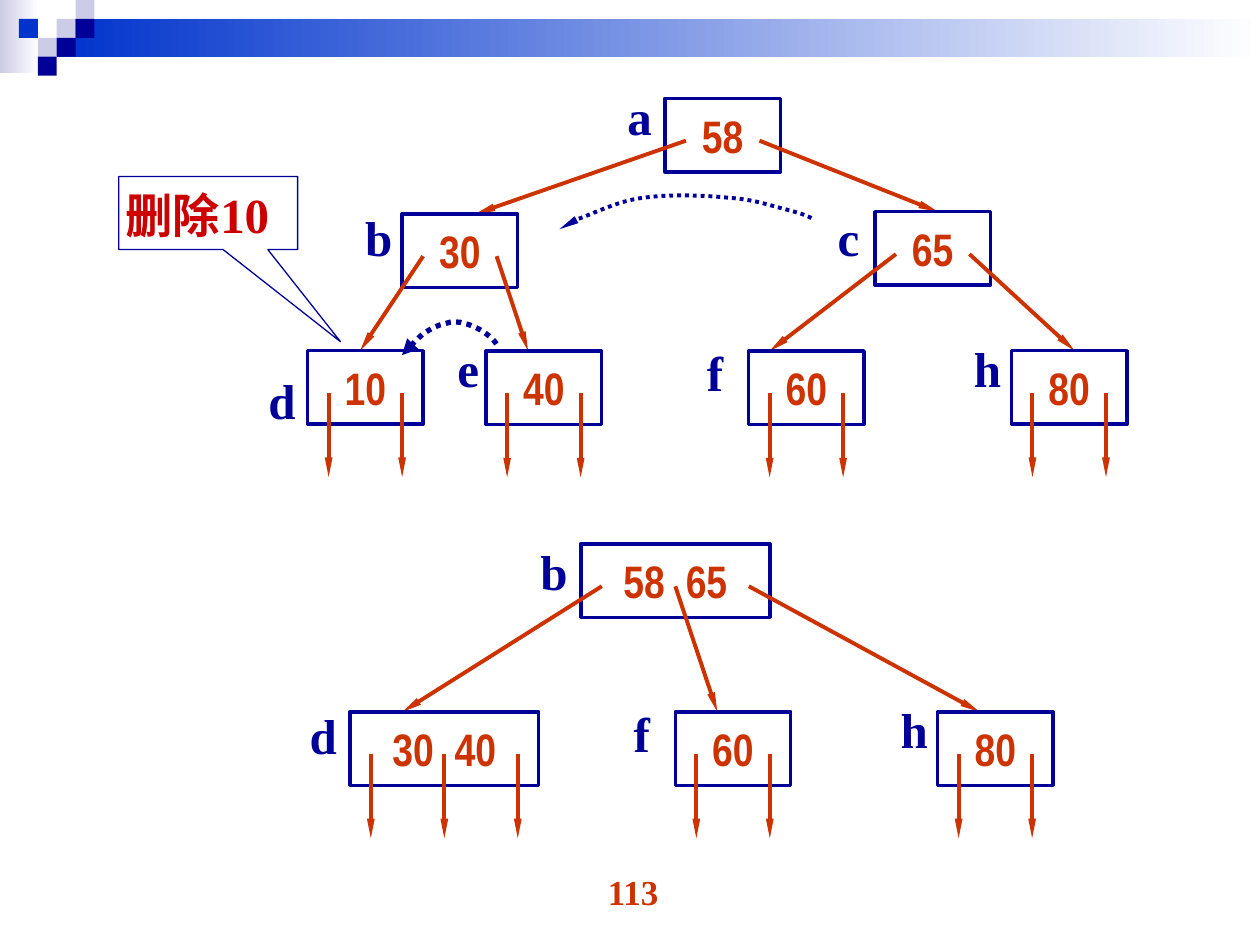
"""Build the slide that shows deleting 10 from a 2-3 tree."""
from dataclasses import dataclass

from pptx import Presentation
from pptx.dml.color import RGBColor
from pptx.enum.dml import MSO_LINE
from pptx.enum.shapes import MSO_CONNECTOR, MSO_SHAPE
from pptx.enum.text import MSO_ANCHOR, MSO_AUTO_SIZE, PP_ALIGN
from pptx.oxml.ns import qn
from pptx.util import Pt

RECTANGLE = MSO_SHAPE.RECTANGLE
CALLOUT = MSO_SHAPE.RECTANGULAR_CALLOUT
STRAIGHT = MSO_CONNECTOR.STRAIGHT
DOTTED = MSO_LINE.ROUND_DOT
MIDDLE = MSO_ANCHOR.MIDDLE
GROW = MSO_AUTO_SIZE.SHAPE_TO_FIT_TEXT
LEFT, CENTER = PP_ALIGN.LEFT, PP_ALIGN.CENTER


@dataclass(frozen=True)
class Theme:
    """Colours, fonts and type sizes of the slide."""
    navy: RGBColor = RGBColor.from_string("000099")
    blue: RGBColor = RGBColor.from_string("0033CC")
    lilac: RGBColor = RGBColor.from_string("CCCCE6")
    white: RGBColor = RGBColor.from_string("FFFFFF")
    orange: RGBColor = RGBColor.from_string("CC3300")
    red: RGBColor = RGBColor.from_string("CC0000")
    serif: str = "Times New Roman"
    narrow: str = "Arial Narrow"
    key_size: float = 26
    label_size: float = 28
    chinese_size: float = 27
    number_size: float = 20


@dataclass(frozen=True)
class Node:
    """A tree node; landing is where its parent's arrow meets the top edge."""
    name: str
    position: tuple
    keys: tuple
    label: tuple
    landing: float = 0
    children: tuple = ()


THEME = Theme()
NODE_HEIGHT, PORT_INSET, PORT_DROP, PORT_GAP, LEAF_ARROW = 42, 12, 24.2, 42, 48
SQUARE = 10.8
KEY_SPACING = "600"

HEADER_SQUARES = [
    (3, 1, THEME.lilac), (4, 0, THEME.lilac), (4, 1, THEME.navy),
    (2, 2, THEME.lilac), (1, 1, THEME.blue), (3, 2, THEME.navy),
    (2, 3, THEME.navy),
]

TREE_BEFORE = Node("a", (380, 56.2), ("58",), (351.4, 46), 0, (
    Node("b", (229.8, 122.2), ("30",), (201.6, 115.2), 42, (
        Node("d", (175.8, 200.4), ("10",), (146.2, 208), 30),
        Node("e", (277.8, 200.6), ("40",), (254.2, 190), 24))),
    Node("c", (500, 121), ("65",), (471.6, 115.2), 36, (
        Node("f", (427.8, 200.6), ("60",), (396.8, 192.2), 12),
        Node("h", (578, 200.4), ("80",), (549.4, 190), 36)))))

TREE_AFTER = Node("b", (331.9, 310.8), ("58", "65"), (301.7, 306), 0, (
    Node("d", (199.9, 406.8), ("30", "40"), (169.9, 399.6), 30),
    Node("f", (385.9, 406.8), ("60",), (355, 398.2), 24),
    Node("h", (535.8, 406.8), ("80",), (507.6, 396), 24)))

MERGE_PARENT = [
    (463.7, 124.6), (459.4, 122.4), (454.3, 121), (445.7, 118.8),
    (437.8, 116.6), (429.1, 113.8), (416.2, 113), (403.2, 111.6),
    (382.3, 110.9), (367.9, 113), (354.2, 114.5), (339.8, 121.7),
    (331.9, 124.6), (324, 127.4), (321.8, 131), (319.7, 131),
]
MERGE_LEAF = [
    (283.7, 196.6), (282.2, 194.4), (280.8, 193), (277.9, 190.8),
    (275, 188.6), (270, 185.8), (265.7, 185), (262.1, 183.6),
    (257.8, 183.6), (254.2, 185), (249.8, 185.8), (246.2, 187.9),
    (241.9, 190.8), (238.3, 193.7), (231.8, 200.9), (229.7, 203),
]


def apply_format(target, values):
    """Set each named attribute of the target."""
    for name, value in values.items():
        setattr(target, name, value)


def points(*values):
    """Convert numbers to lengths in points."""
    return [Pt(value) for value in values]


def set_line(shape, color, width):
    """Give a shape or connector a solid line."""
    shape.line.color.rgb = color
    shape.line.width = Pt(width)


def add_arrowhead(shape, width, length):
    """Put a triangle at the end of a line."""
    outline = shape._element.spPr.get_or_add_ln()
    head = outline.makeelement(
        qn("a:tailEnd"), {"type": "triangle", "w": width, "len": length})
    outline.append(head)


def add_run(paragraph, text, color, font, size):
    """Add a bold run of text and return it."""
    run = paragraph.add_run()
    run.text = text
    apply_format(run.font, {"name": font, "size": Pt(size), "bold": True})
    run.font.color.rgb = color
    return run


def add_text(slide, box, runs, alignment=LEFT, frame_format=None):
    """Add a text box with one paragraph of (text, color, size) runs."""
    frame = slide.shapes.add_textbox(*points(*box)).text_frame
    apply_format(frame, frame_format or {"word_wrap": False, "auto_size": GROW})
    paragraph = frame.paragraphs[0]
    paragraph.alignment = alignment
    for text, color, size in runs:
        add_run(paragraph, text, color, THEME.serif, size)


def add_block(slide, box, colors):
    """Add a header rectangle in one colour or a gradient of two."""
    shape = slide.shapes.add_shape(RECTANGLE, *points(*box))
    shape.shadow.inherit = False
    shape.line.fill.background()
    if len(colors) == 1:
        shape.fill.solid()
        shape.fill.fore_color.rgb = colors[0]
        return
    shape.fill.gradient()
    shape.fill.gradient_angle = 0
    for stop, color in zip(shape.fill.gradient_stops, colors):
        stop.color.rgb = color


def add_outline(slide, kind, box, width):
    """Add an unfilled shape with a navy outline."""
    shape = slide.shapes.add_shape(kind, *points(*box))
    shape.shadow.inherit = False
    shape.fill.background()
    set_line(shape, THEME.navy, width)
    return shape


def add_arrow(slide, start, end):
    """Add an orange pointer arrow."""
    connector = slide.shapes.add_connector(STRAIGHT, *points(*start, *end))
    set_line(connector, THEME.orange, 2.25)
    add_arrowhead(connector, "sm", "lg")
    properties = connector._element.spPr
    properties.append(properties.makeelement(qn("a:effectLst"), {}))


def add_curve(slide, vertices, width, head):
    """Add a dotted arrow through a chain of cubic Bézier points."""
    start, *rest = [points(*vertex) for vertex in vertices]
    builder = slide.shapes.build_freeform(*start)
    builder.add_line_segments(rest, close=False)
    shape = builder.convert_to_shape()
    shape.shadow.inherit = False
    shape.fill.background()
    set_line(shape, THEME.navy, width)
    shape.line.dash_style = DOTTED
    add_arrowhead(shape, *head)
    segments = list(shape._element.iter(qn("a:lnTo")))
    for index in range(0, len(segments), 3):
        curve = segments[index].makeelement(qn("a:cubicBezTo"), {})
        segments[index].addprevious(curve)
        for segment in segments[index:index + 3]:
            curve.append(segment[0])
            segment.getparent().remove(segment)


def add_tree(slide, node):
    """Draw a node with its label and pointers, then its children."""
    left, top = node.position
    width = 2 * PORT_INSET + PORT_GAP * len(node.keys)
    box = add_outline(slide, RECTANGLE, (left, top, width, NODE_HEIGHT), 2)
    apply_format(box.text_frame, {"word_wrap": False, "vertical_anchor": MIDDLE})
    paragraph = box.text_frame.paragraphs[0]
    paragraph.alignment = CENTER
    key_style = (THEME.orange, THEME.narrow, THEME.key_size)
    for index, key in enumerate(node.keys):
        if index:
            gap = add_run(paragraph, " ", *key_style)
            gap.font._element.set("spc", KEY_SPACING)
        add_run(paragraph, key, *key_style)
    add_text(slide, (*node.label, 29, 41),
             [(node.name, THEME.navy, THEME.label_size)])
    for index in range(len(node.keys) + 1):
        x, y = left + PORT_INSET + PORT_GAP * index, top + PORT_DROP
        end = (x, y + LEAF_ARROW)
        if node.children:
            child = node.children[index]
            end = (child.position[0] + child.landing, child.position[1])
        add_arrow(slide, (x, y), end)
    for child in node.children:
        add_tree(slide, child)


def add_header(slide):
    """Draw the gradient bars and the squares at the top."""
    add_block(slide, (0, 0, 22.3, 41.8), (THEME.lilac, THEME.white))
    add_block(slide, (32.4, 10.8, 687.6, 21.6), (THEME.blue, THEME.white))
    for column, row, color in HEADER_SQUARES:
        add_block(slide, (column * SQUARE, row * SQUARE, SQUARE, SQUARE), (color,))


def main():
    """Build and save the slide."""
    presentation = Presentation()
    apply_format(presentation, {"slide_width": Pt(720), "slide_height": Pt(540)})
    slide = presentation.slides.add_slide(presentation.slide_layouts[6])
    add_header(slide)
    add_text(slide, (277.9, 493.9, 167.8, 37.4),
             [("113", THEME.orange, THEME.number_size)], CENTER, {"word_wrap": True})
    callout = add_outline(slide, CALLOUT, (67.9, 100.8, 102.2, 41.8), 0.75)
    callout.adjustments[0], callout.adjustments[1] = 0.74, 1.76
    add_text(slide, (64.8, 102.2, 103, 41),
             [("删除", THEME.red, THEME.chinese_size), ("10", THEME.red, THEME.label_size)])
    add_tree(slide, TREE_BEFORE)
    add_curve(slide, MERGE_PARENT, 2.25, ("sm", "lg"))
    add_curve(slide, MERGE_LEAF, 3, ("med", "med"))
    add_tree(slide, TREE_AFTER)
    presentation.save("out.pptx")


if __name__ == "__main__":
    main()
